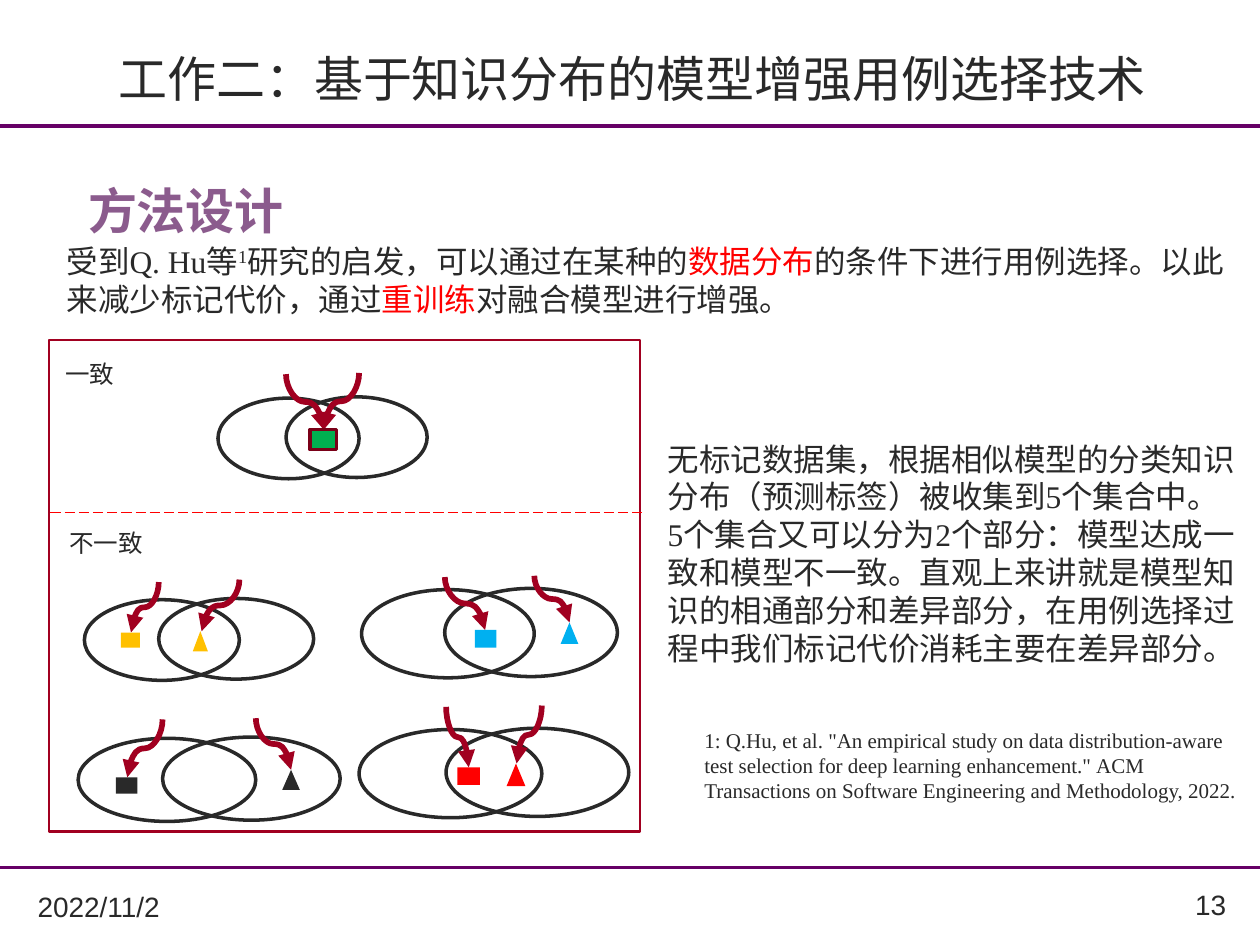
from lxml.etree import SubElement
from pptx import Presentation
from pptx.dml.color import RGBColor
from pptx.enum.dml import MSO_LINE
from pptx.enum.shapes import MSO_CONNECTOR, MSO_SHAPE
from pptx.enum.text import MSO_ANCHOR, PP_ALIGN
from pptx.oxml.ns import qn
from pptx.util import Inches, Pt

INK = "292929"
CRIMSON = "A10020"
RED = "FF0000"
SERIF = "Times New Roman"
SANS = "Noto Sans CJK SC"


def color(value):
    return RGBColor.from_string(value)


def add_text(paragraphs, left, top, width, height, size=18, font=SERIF, fill=INK, bold=False,
             align=PP_ALIGN.LEFT, anchor=MSO_ANCHOR.TOP, spacing=None, insets=(0.1, 0.05)):
    box = slide.shapes.add_textbox(Inches(left), Inches(top), Inches(width), Inches(height))
    frame = box.text_frame
    frame.word_wrap = True
    frame.vertical_anchor = anchor
    frame.margin_left, frame.margin_top = Inches(insets[0]), Inches(insets[1])
    for index, runs in enumerate(paragraphs):
        paragraph = frame.paragraphs[0] if index == 0 else frame.add_paragraph()
        paragraph.alignment = align
        if spacing:
            paragraph.line_spacing = spacing
        for text, changes in runs:
            run = paragraph.add_run()
            run.text = text
            run.font.size = Pt(size)
            run.font.bold = bold
            run.font.name = changes.get("font", font)
            run.font.color.rgb = color(changes.get("fill", fill))
            if "baseline" in changes:
                run.font._element.set("baseline", changes["baseline"])


presentation = Presentation()
presentation.slide_width = Inches(10)
presentation.slide_height = Inches(7.5)
slide = presentation.slides.add_slide(presentation.slide_layouts[6])

for top, height in [(6.83, 0.11), (0.94, 0.12)]:
    rule = slide.shapes.add_shape(MSO_SHAPE.MATH_MINUS, Inches(-1.82), Inches(top), Inches(13.64), Inches(height))
    rule.shadow.inherit = False
    rule.fill.solid()
    rule.fill.fore_color.rgb = color("660066")
    rule.line.fill.background()

add_text([[("2022/11/2", {})]], 0.2, 7, 1.56, 0.39, size=16, font="Arial", anchor=MSO_ANCHOR.MIDDLE)
add_text([[("13", {})]], 8.81, 7.01, 1.02, 0.34, size=16, font="Arial", align=PP_ALIGN.RIGHT,
         anchor=MSO_ANCHOR.MIDDLE)
add_text([[("方法设计", {})]], 0.6, 1.06, 9.01, 0.77, size=28, font=SANS, fill="8B5B8D", bold=True, spacing=1.7)
add_text([[
    ("受到", {"font": "Roboto"}),
    ("Q. Hu等", {}),
    ("1", {"baseline": "30000"}),
    ("研究的启发，可以通过在某种的", {}),
    ("数据分布", {"fill": RED}),
    ("的条件下进行用例选择。以此来减少标记代价，通过", {}),
    ("重训练", {"fill": RED}),
    ("对融合模型进行增强。", {}),
]], 0.43, 1.87, 9.43, 0.71)
add_text([[(
    '1: Q.Hu, et al. "An empirical study on data distribution-aware test selection for deep learning '
    'enhancement."\u00a0ACM Transactions on Software Engineering and Methodology, 2022.', {})]],
    4.79, 5.7, 5.27, 0.55, size=12, insets=(0.8, 0.07))

venn_diagrams = [
    {"ellipses": [(1.73, 3.16), (2.27, 3.15)], "size": (1.12, 0.64),
     "arrows": [(2.27, 2.97, 2.57, 3.41), (2.85, 2.96, 2.57, 3.41)],
     "fill": "00B050", "square": (2.46, 3.41, 0.21, 0.16), "triangle": None},
    {"ellipses": [(2.85, 5.79), (3.54, 5.78)], "size": (1.45, 0.7),
     "arrows": [(3.54, 5.61, 3.72, 6.09), (4.3, 5.6, 4.1, 6.06)],
     "fill": RED, "square": (3.63, 6.09, 0.18, 0.14), "triangle": (4.02, 6.06, 0.15, 0.18)},
    {"ellipses": [(0.67, 4.76), (1.26, 4.75)], "size": (1.23, 0.64),
     "arrows": [(1.26, 4.62, 1.04, 5.02), (1.9, 4.6, 1.6, 5.01)],
     "fill": "FFC000", "square": (0.96, 5.02, 0.15, 0.12), "triangle": (1.53, 5.01, 0.12, 0.16)},
    {"ellipses": [(2.87, 4.68), (3.53, 4.67)], "size": (1.37, 0.7),
     "arrows": [(3.53, 4.58, 3.85, 5), (4.24, 4.57, 4.52, 4.94)],
     "fill": "00B0F0", "square": (3.77, 5, 0.17, 0.14), "triangle": (4.45, 4.94, 0.14, 0.17)},
    {"ellipses": [(0.62, 5.86), (1.29, 5.85)], "size": (1.41, 0.66),
     "arrows": [(1.29, 5.71, 1.01, 6.17), (2.03, 5.7, 2.31, 6.11)],
     "fill": INK, "square": (0.92, 6.17, 0.17, 0.13), "triangle": (2.24, 6.11, 0.14, 0.16)},
]

for venn in venn_diagrams:
    group = slide.shapes.add_group_shape()
    for left, top in venn["ellipses"]:
        width, height = venn["size"]
        ellipse = group.shapes.add_shape(MSO_SHAPE.OVAL, Inches(left), Inches(top), Inches(width), Inches(height))
        ellipse.shadow.inherit = False
        ellipse.fill.background()
        ellipse.line.color.rgb = color(INK)
        ellipse.line.width = Pt(2)
    for start_x, start_y, end_x, end_y in venn["arrows"]:
        length, span = end_y - start_y, abs(end_x - start_x)
        left = (start_x + end_x - length) / 2
        top = (start_y + end_y - span) / 2
        arrow = group.shapes.add_connector(MSO_CONNECTOR.CURVE, Inches(left), Inches(top),
                                           Inches(left + length), Inches(top + span))
        arrow.line.color.rgb = color(CRIMSON)
        arrow.line.width = Pt(3.25)
        properties = arrow._element.spPr
        transform = properties.find(qn("a:xfrm"))
        if end_x > start_x:
            transform.set("rot", "16200000")
            transform.set("flipH", "1")
        else:
            transform.set("rot", "5400000")
        SubElement(properties.find(qn("a:ln")), qn("a:tailEnd"), type="triangle")
        SubElement(properties, qn("a:effectLst"))
    for kind, bounds in [(MSO_SHAPE.RECTANGLE, venn["square"]), (MSO_SHAPE.ISOSCELES_TRIANGLE, venn["triangle"])]:
        if bounds:
            marker = group.shapes.add_shape(kind, *[Inches(value) for value in bounds])
            marker.shadow.inherit = False
            marker.fill.solid()
            marker.fill.fore_color.rgb = color(venn["fill"])
            if venn["triangle"]:
                marker.line.fill.background()
            else:
                marker.line.color.rgb = color("7A0018")
                marker.line.width = Pt(2)

add_text([
    [("无标记数据集，根据相似模型的分类知识分布（预测标签）被收集到5个集合中。", {})],
    [("5个集合又可以分为2个部分：模型达成一致和模型不一致。直观上来讲就是模型知识的相通部分和差异部分，"
      "在用例选择过程中我们标记代价消耗主要在差异部分。", {})],
], 5.2, 3.44, 4.72, 1.92)

frame_box = slide.shapes.add_shape(MSO_SHAPE.RECTANGLE, Inches(0.39), Inches(2.7), Inches(4.69), Inches(3.9))
frame_box.shadow.inherit = False
frame_box.fill.background()
frame_box.line.color.rgb = color(CRIMSON)
frame_box.line.width = Pt(1.5)

divider = slide.shapes.add_connector(MSO_CONNECTOR.STRAIGHT, Inches(0.4), Inches(4.07), Inches(5.11), Inches(4.07))
divider.line.color.rgb = color(RED)
divider.line.width = Pt(0.75)
divider.line.dash_style = MSO_LINE.LONG_DASH
SubElement(divider._element.spPr, qn("a:effectLst"))

for label, left, top in [("一致", 0.42, 2.8), ("不一致", 0.45, 4.14)]:
    add_text([[(label, {})]], left, top, 1, 0.34, size=14, font="Arial")

add_text([[("工作二：", {}), ("基于知识分布的模型增强用例选择技术", {"font": "Roboto"})]],
         0.75, 0.31, 8.74, 0.61, size=28, font=SANS, anchor=MSO_ANCHOR.MIDDLE, insets=(0.19, 0.05))

presentation.save("out.pptx")
